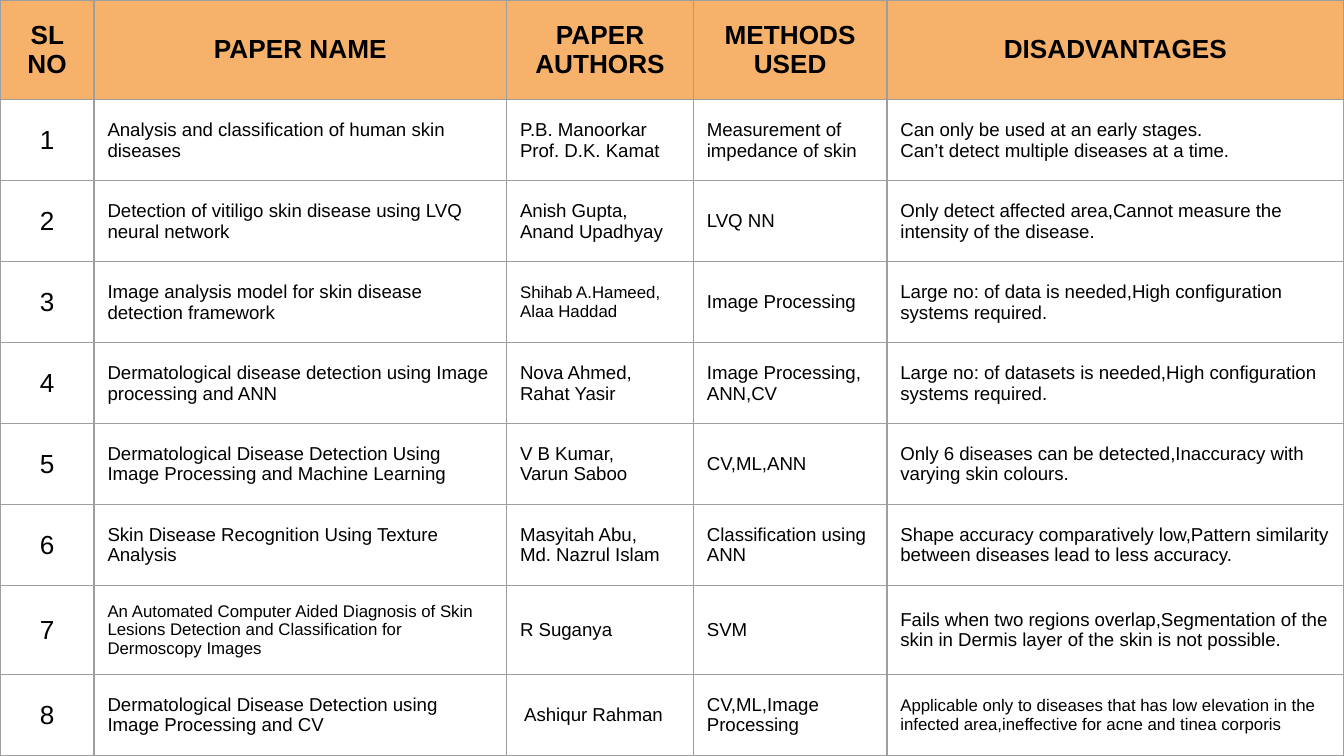
from lxml import etree
from pptx import Presentation
from pptx.dml.color import RGBColor
from pptx.enum.text import MSO_ANCHOR, PP_ALIGN
from pptx.oxml.ns import qn
from pptx.util import Inches, Pt

MIDDLE = MSO_ANCHOR.MIDDLE
CENTER, LEFT = PP_ALIGN.CENTER, PP_ALIGN.LEFT
BLANK = 6
WIDE = Inches(10)
HIGH = WIDE * 9 // 16

HEAD = ["SL NO", "PAPER NAME", "PAPER AUTHORS", "METHODS USED", "DISADVANTAGES"]
PAPERS = [
    ["Analysis and classification of human skin diseases",
     "P.B. Manoorkar\nProf. D.K. Kamat",
     "Measurement of impedance of skin",
     "Can only be used at an early stages.\nCan’t detect multiple diseases at a time."],
    ["Detection of vitiligo skin disease using LVQ neural network",
     "Anish Gupta,\nAnand Upadhyay",
     "LVQ NN",
     "Only detect affected area,Cannot measure the intensity of the disease."],
    ["Image analysis model for skin disease detection framework",
     "Shihab A.Hameed,\nAlaa Haddad",
     "Image Processing",
     "Large no: of data is needed,High configuration systems required."],
    ["Dermatological disease detection using Image processing and ANN",
     "Nova Ahmed,\nRahat Yasir",
     "Image Processing,\nANN,CV",
     "Large no: of datasets is needed,High configuration systems required."],
    ["Dermatological Disease Detection Using Image Processing and Machine Learning",
     "V B Kumar,\nVarun Saboo",
     "CV,ML,ANN",
     "Only 6 diseases can be detected,Inaccuracy with varying skin colours."],
    ["Skin Disease Recognition Using Texture Analysis",
     "Masyitah Abu,\nMd. Nazrul Islam",
     "Classification using ANN",
     "Shape accuracy comparatively low,Pattern similarity between diseases "
     "lead to less accuracy."],
    ["An Automated Computer Aided Diagnosis of Skin Lesions Detection and "
     "Classification for Dermoscopy Images",
     "R Suganya",
     "SVM",
     "Fails when two regions overlap,Segmentation of the skin in Dermis layer "
     "of the skin is not possible."],
    ["Dermatological Disease Detection using Image Processing and CV",
     " Ashiqur Rahman",
     "CV,ML,Image Processing",
     "Applicable only to diseases that has low elevation in the infected "
     "area,ineffective for acne and tinea corporis"],
]
WIDTHS = [0.7, 3.07, 1.39, 1.44, 3.4]
HEIGHTS = [0.74] + [0.6] * 6 + [0.66, 0.6]  # shares of the slide height
SMALL = {(3, 2), (7, 1), (8, 4)}  # (row, column) of cells in smaller type


def color(code):
    return RGBColor.from_string(code)


class Deck:
    font, ink, line = "Arial", "000000", "9E9E9E"
    big, body, small = 14, 10, 9
    head_fill, body_fill = "F6B26B", "FFFFFF"

    def __init__(self, slide):
        self.slide = slide

    def ground(self, code):
        fill = self.slide.background.fill
        fill.solid()
        fill.fore_color.rgb = color(code)

    def border(self, cell):
        props = cell._tc.get_or_add_tcPr()
        for i, side in enumerate(("a:lnL", "a:lnR", "a:lnT", "a:lnB")):
            edge = etree.Element(qn(side), w=str(Pt(0.75)))
            fill = etree.SubElement(edge, qn("a:solidFill"))
            etree.SubElement(fill, qn("a:srgbClr"), val=self.line)
            props.insert(i, edge)

    def cell(self, cell, text, size, bold, align, fill):
        cell.fill.solid()
        cell.fill.fore_color.rgb = color(fill)
        self.border(cell)
        cell.vertical_anchor = MIDDLE
        cell.margin_left = cell.margin_right = Inches(0.1)
        cell.margin_top = cell.margin_bottom = Inches(0.1)
        cell.text = text
        for para in cell.text_frame.paragraphs:
            para.alignment = align
            font = para.font
            font.name, font.size, font.bold = self.font, Pt(size), bold
            font.color.rgb = color(self.ink)

    def table(self, rows, widths, heights, small):
        frame = self.slide.shapes.add_table(
            len(rows), len(widths), 0, 0, WIDE, HIGH)
        grid = frame.table
        for col, width in zip(grid.columns, widths):
            col.width = Inches(width)
        for row, height in zip(grid.rows, heights):
            row.height = round(HIGH * height / sum(heights))
        for r, row in enumerate(rows):
            for c, text in enumerate(row):
                head = r == 0
                key = head or c == 0
                size = self.big if key else self.body
                if (r, c) in small:
                    size = self.small
                self.cell(grid.cell(r, c), text, size, head,
                          CENTER if key else LEFT,
                          self.head_fill if head else self.body_fill)


def main():
    prs = Presentation()
    prs.slide_width, prs.slide_height = WIDE, HIGH
    deck = Deck(prs.slides.add_slide(prs.slide_layouts[BLANK]))
    deck.ground("4285F4")

    # Survey table, papers numbered from 1
    rows = [HEAD] + [[str(n), *paper] for n, paper in enumerate(PAPERS, 1)]
    deck.table(rows, WIDTHS, HEIGHTS, SMALL)
    prs.save("out.pptx")


if __name__ == "__main__":
    main()
